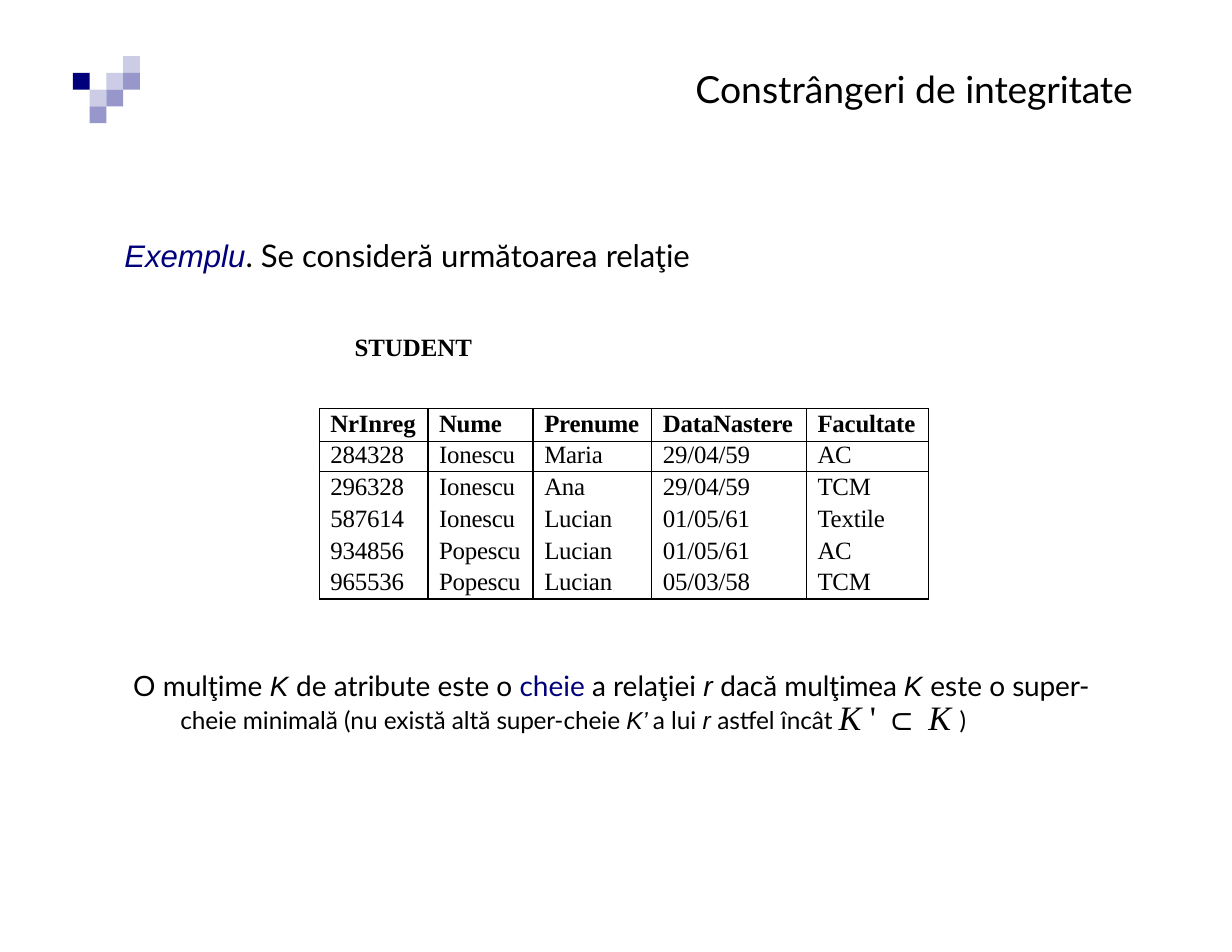
from lxml import etree
from pptx import Presentation
from pptx.dml.color import RGBColor
from pptx.enum import shapes, text
from pptx.oxml.ns import qn
from pptx.util import Inches, Pt

BLACK = RGBColor(0, 0, 0)
NAVY = RGBColor(0x00, 0x00, 0x7B)
LILAC = RGBColor(0xCC, 0xCC, 0xE6)
VIOLET = RGBColor(0x97, 0x97, 0xCC)
SANS, ARIAL, SERIF = "Lato", "Arial", "Times New Roman"

SQUARE = 0.15
SQUARES = [(2, 1, LILAC), (3, 0, LILAC), (3, 1, VIOLET), (1, 2, LILAC),
           (0, 1, NAVY), (1, 3, VIOLET), (2, 2, VIOLET)]
COLUMNS = [0.97, 0.94, 1.06, 1.38, 1.09]
HEIGHTS = [0.29, 0.27, 0.29, 0.28, 0.28, 0.29]
SPACINGS = [18.5, 17.6, 19.1, 18.9, 18.9, 18.9]
STUDENTS = [
    ["NrInreg", "Nume", "Prenume", "DataNastere", "Facultate"],
    ["284328", "Ionescu", "Maria", "29/04/59", "AC"],
    ["296328", "Ionescu", "Ana", "29/04/59", "TCM"],
    ["587614", "Ionescu", "Lucian", "01/05/61", "Textile"],
    ["934856", "Popescu", "Lucian", "01/05/61", "AC"],
    ["965536", "Popescu", "Lucian", "05/03/58", "TCM"],
]
RULED_ROWS = (0, 1, len(STUDENTS) - 1)


def add_run(p, words, size, font=SANS, color=BLACK, bold=False, italic=False,
            spacing=0, baseline=0):
    """Append one formatted run to a paragraph."""
    r = p.add_run()
    r.text = words
    r.font.size, r.font.name = Pt(size), font
    r.font.bold, r.font.italic = bold, italic
    r.font.color.rgb = color
    rPr = r.font._element
    if spacing:
        rPr.set("spc", str(round(spacing * 100)))
    if baseline:
        rPr.set("baseline", str(baseline * 1000))


def set_indent(p, left, first=0):
    """Set the left margin and first-line indent of a paragraph."""
    pPr = p._p.get_or_add_pPr()
    pPr.set("marL", str(Inches(left)))
    pPr.set("indent", str(Inches(first)))


def add_textbox(s, left, top, width, height, inset=0.01):
    """Add a wrapping text box and return its text frame."""
    tf = s.shapes.add_textbox(Inches(left), Inches(top), Inches(width),
                              Inches(height)).text_frame
    tf.word_wrap = True
    tf.margin_left = tf.margin_right = tf.margin_bottom = 0
    tf.margin_top = Inches(inset)
    return tf


def add_squares(s):
    """Add the decorative squares on their grid."""
    for col, row, color in SQUARES:
        sp = s.shapes.add_shape(
            shapes.MSO_SHAPE.RECTANGLE, Inches(0.65 + col * SQUARE),
            Inches(0.5 + row * SQUARE), Inches(SQUARE), Inches(SQUARE))
        sp.shadow.inherit = False
        sp.fill.solid()
        sp.fill.fore_color.rgb = color
        sp.line.fill.background()


def set_borders(cell, widths):
    """Draw the cell borders given in points, leaving zero widths empty."""
    tcPr = cell._tc.get_or_add_tcPr()
    for i, (side, width) in enumerate(widths.items()):
        ln = etree.Element(qn(f"a:ln{side}"), w=str(Pt(width)))
        if width:
            fill = etree.SubElement(ln, qn("a:solidFill"))
            etree.SubElement(fill, qn("a:srgbClr"), val=str(BLACK))
        else:
            etree.SubElement(ln, qn("a:noFill"))
        tcPr.insert(i, ln)


def add_student_table(s):
    """Add the student relation as a table."""
    tbl = s.shapes.add_table(
        len(STUDENTS), len(COLUMNS), Inches(2.85), Inches(3.65),
        Inches(sum(COLUMNS)), Inches(sum(HEIGHTS))).table
    tbl.horz_banding = False
    for column, width in zip(tbl.columns, COLUMNS):
        column.width = Inches(width)
    for i, names in enumerate(STUDENTS):
        tbl.rows[i].height = Inches(HEIGHTS[i])
        for j, name in enumerate(names):
            cell = tbl.cell(i, j)
            cell.margin_left = cell.margin_right = 0
            cell.margin_top = cell.margin_bottom = 0
            cell.fill.background()
            set_borders(cell, {"L": 1.5 if j == 1 else 1,
                               "R": 1.5 if j == 0 else 1,
                               "T": 1 if i < 3 else 0,
                               "B": 1 if i in RULED_ROWS else 0})
            p = cell.text_frame.paragraphs[0]
            set_indent(p, 0.1)
            p.line_spacing = Pt(SPACINGS[i])
            add_run(p, name, 16, SERIF, bold=i == 0, spacing=-0.1)


def add_title(s):
    """Add the right-hand slide title."""
    p = add_textbox(s, 5.81, 0.58, 4.33, 0.43).paragraphs[0]
    set_indent(p, 0.4)
    p.space_before = Pt(1)
    add_run(p, "Constrângeri de ", 24)
    add_run(p, "integritate", 24, spacing=-0.1)


def add_example(s):
    """Add the example sentence and the relation name."""
    tf = add_textbox(s, 1.1, 2.1, 5.18, 1.13)
    p = tf.paragraphs[0]
    set_indent(p, 0.01)
    p.space_before = Pt(1.1)
    add_run(p, "Exemplu", 20, ARIAL, NAVY, italic=True)
    add_run(p, ". Se consideră următoarea ", 20)
    add_run(p, "relaţie", 20, spacing=-0.1)
    p = tf.add_paragraph()
    p.alignment = text.PP_ALIGN.CENTER
    p.space_before = Pt(37.4)
    add_run(p, "STUDENT", 16, SERIF, bold=True)


def add_definition(s):
    """Add the definition of a key."""
    p = add_textbox(s, 1.18, 5.94, 8.66, 0.67, 0).paragraphs[0]
    set_indent(p, 0.43, -0.42)
    p.line_spacing, p.space_before = Pt(23.6), Pt(0.1)
    symbol = dict(font=ARIAL, italic=True)
    for words, style in [
            ("O mulţime ", {}), ("K ", symbol), ("de atribute este o ", {}),
            ("cheie ", dict(color=NAVY)), ("a relaţiei ", {}), ("r ", symbol),
            ("dacă ", {}), ("mulţimea ", dict(spacing=-0.1)), ("K ", symbol),
            ("este o ", {}), ("super- ", dict(spacing=-0.1))]:
        add_run(p, words, 18, **style)
    for words, style in [
            ("cheie minimală (nu există altă ", {}),
            ("super-", dict(spacing=-0.1)), ("cheie ", {}),
            ("K’ ", dict(symbol, spacing=-0.1)), ("a lui ", {}),
            ("r ", symbol), ("astfel încât ", {})]:
        add_run(p, words, 27, baseline=3, **style)
    add_run(p, "K ", 22, SERIF, italic=True)
    add_run(p, "' ", 22, SERIF)
    add_run(p, "⊂ ", 22, ARIAL)
    add_run(p, "K ", 22, SERIF, italic=True)
    add_run(p, ")", 27, spacing=-0.8, baseline=3)


def main():
    """Build the slide and save it."""
    prs = Presentation()
    prs.slide_width, prs.slide_height = Inches(11), Inches(8.5)
    s = prs.slides.add_slide(prs.slide_layouts[6])
    add_squares(s)
    add_title(s)
    add_example(s)
    add_student_table(s)
    add_definition(s)
    prs.save("out.pptx")


if __name__ == "__main__":
    main()
